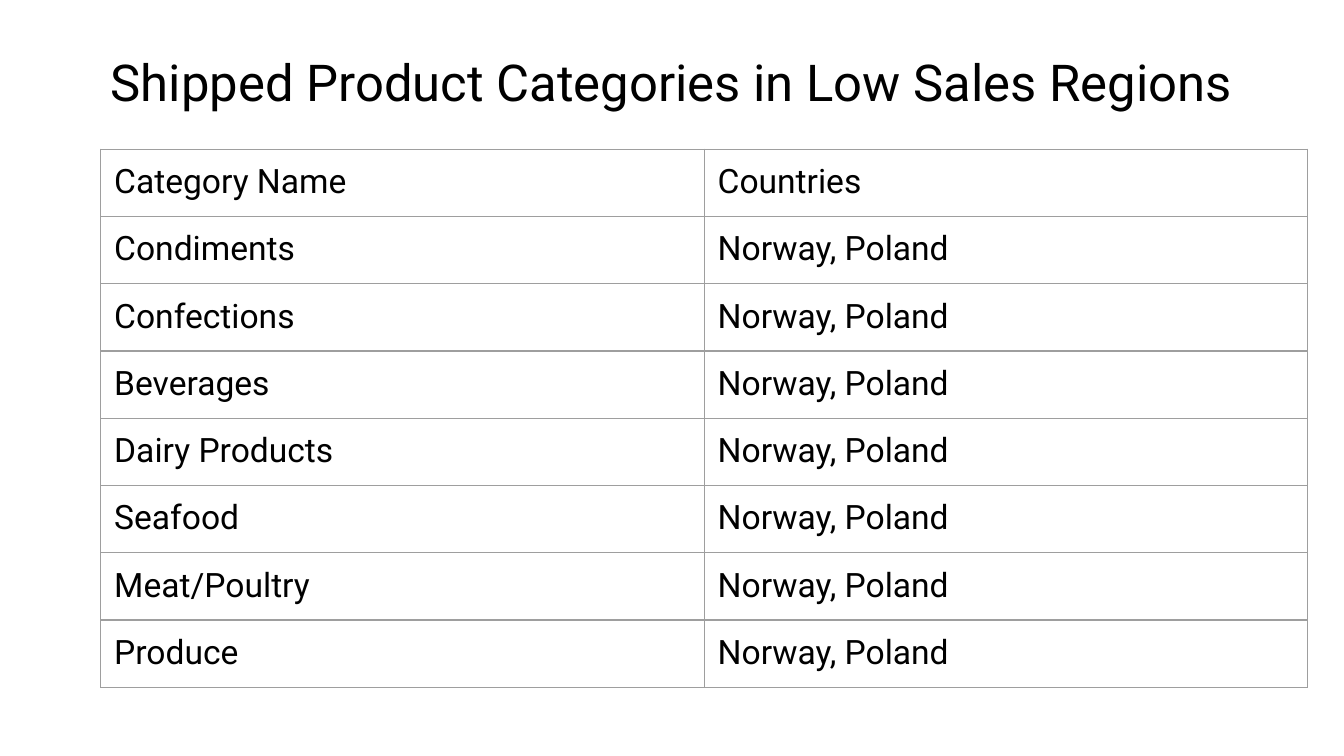
from lxml.etree import SubElement
from pptx import Presentation
from pptx.dml.color import RGBColor
from pptx.enum.text import MSO_ANCHOR, PP_ALIGN
from pptx.oxml.ns import qn
from pptx.util import Inches, Pt

COLORS = {"text": "000000", "border": "9E9E9E"}
FONT = "Roboto"
INSET = Inches(0.1)
CATEGORIES = ["Condiments", "Confections", "Beverages", "Dairy Products",
              "Seafood", "Meat/Poultry", "Produce"]
ROWS = [("Category Name", "Countries")]
ROWS += [(category, "Norway, Poland") for category in CATEGORIES]


def set_insets(holder):
    holder.margin_left = holder.margin_right = INSET
    holder.margin_top = holder.margin_bottom = INSET


def add_span(para, text, size):
    span = para.add_run()
    span.text = text
    span.font.size = Pt(size)
    span.font.name = FONT
    span.font.color.rgb = RGBColor.from_string(COLORS["text"])


def add_borders(cell, width):
    properties = cell._tc.get_or_add_tcPr()
    for side in ("lnL", "lnR", "lnT", "lnB"):
        line = SubElement(properties, qn(f"a:{side}"), w=str(Pt(width)))
        fill = SubElement(line, qn("a:solidFill"))
        SubElement(fill, qn("a:srgbClr"), val=COLORS["border"])


def add_title(page, text, left, top, width, height):
    box = page.shapes.add_textbox(Inches(left), Inches(top), Inches(width), Inches(height))
    frame = box.text_frame
    frame.word_wrap = True
    frame.vertical_anchor = MSO_ANCHOR.TOP
    set_insets(frame)
    para = frame.paragraphs[0]
    para.alignment = PP_ALIGN.CENTER
    add_span(para, text, 27.2)


def add_category_table(page, rows, left, top, column_width, row_height, frame_size):
    frame = page.shapes.add_table(len(rows), len(rows[0]), Inches(left), Inches(top),
                                  Inches(column_width * len(rows[0])),
                                  Inches(row_height * len(rows)))
    frame.width = frame.height = Inches(frame_size)
    table = frame.table
    table.first_row = False
    table.horz_banding = False
    for row_index, row in enumerate(rows):
        for column_index, text in enumerate(row):
            cell = table.cell(row_index, column_index)
            set_insets(cell)
            add_borders(cell, 0.75)
            cell.fill.background()
            add_span(cell.text_frame.paragraphs[0], text, 18)


deck = Presentation()
deck.slide_width = Inches(10)
deck.slide_height = deck.slide_width * 9 // 16
page = deck.slides.add_slide(deck.slide_layouts[6])
add_title(page, "Shipped Product Categories in Low Sales Regions", 0.34, 0.28, 9.32, 0.63)
add_category_table(page, ROWS, 0.75, 1.11, 4.49, 0.49, 3.28)
deck.save("out.pptx")
